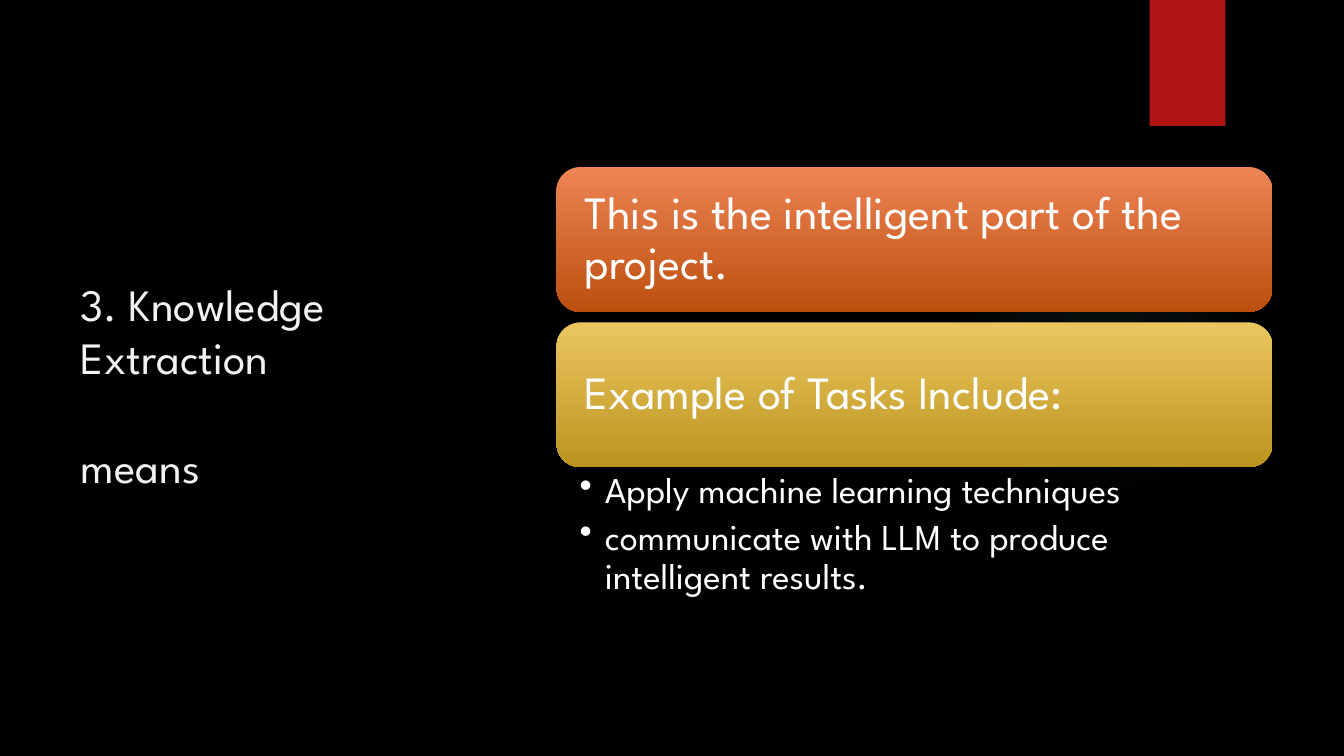
from dataclasses import dataclass

from lxml import etree
from pptx import Presentation
from pptx import util as u
from pptx.dml.color import RGBColor
from pptx.enum import shapes, text
from pptx.oxml import ns, parse_xml


@dataclass(frozen=True)
class Theme:
    font: str = "League Spartan"
    back: str = "000000"
    accent: str = "B01513"
    glow: str = "50B9C1"
    orange: tuple = ("EE8455", "BC4F0E")
    gold: tuple = ("EBC65F", "BB941F")
    title: str = "F2F2F2"
    body: str = "FFFFFF"
    title_pt: int = 32
    card_pt: int = 33
    bullet_pt: int = 26


THEME = Theme()
SHAPE = shapes.MSO_SHAPE


def px(n):
    return u.Emu(n * 9525)


def rgb(color):
    return RGBColor.from_string(color)


def add_shape(s, kind, box):
    sp = s.shapes.add_shape(kind, *map(px, box))
    sp.shadow.inherit = False
    sp.line.fill.background()
    return sp


def set_frame(sp, insets, anchor):
    tf = sp.text_frame
    tf.word_wrap = True
    tf.vertical_anchor = anchor
    tf.margin_left, tf.margin_top, tf.margin_right, tf.margin_bottom = map(px, insets)
    return tf


def add_run(p, words, size, color):
    p.alignment = text.PP_ALIGN.LEFT
    r = p.add_run()
    r.text = words
    r.font.name = THEME.font
    r.font.size = u.Pt(size)
    r.font.color.rgb = rgb(color)


def add_glow(s, box, stops):
    sp = add_shape(s, SHAPE.OVAL, box)
    gs = "".join(
        f'<a:gs pos="{pos * 1000}"><a:srgbClr val="{THEME.glow}">'
        f'<a:alpha val="{alpha * 1000}"/></a:srgbClr></a:gs>'
        for pos, alpha in stops
    )
    grad = parse_xml(
        f'<a:gradFill {ns.nsdecls("a")}><a:gsLst>{gs}</a:gsLst><a:path path="circle">'
        '<a:fillToRect l="50000" t="50000" r="50000" b="50000"/></a:path></a:gradFill>'
    )
    sp.element.spPr.find(ns.qn("a:prstGeom")).addnext(grad)


def add_tab(s, box):
    sp = add_shape(s, SHAPE.RECTANGLE, box)
    sp.fill.solid()
    sp.fill.fore_color.rgb = rgb(THEME.accent)


def add_title(s, box, lines):
    tf = set_frame(s.shapes.add_textbox(*map(px, box)), (10, 5, 10, 5),
                   text.MSO_ANCHOR.MIDDLE)
    for i, line in enumerate(lines):
        p = tf.add_paragraph() if i else tf.paragraphs[0]
        p.space_before = u.Pt(39 if i else 0)
        add_run(p, line, THEME.title_pt, THEME.title)


def add_card(s, box, words, colors):
    sp = add_shape(s, SHAPE.ROUNDED_RECTANGLE, box)
    sp.fill.gradient()
    sp.fill.gradient_angle = 270
    for stop, color in zip(sp.fill.gradient_stops, colors):
        stop.color.rgb = rgb(color)
    p = set_frame(sp, (20, 20, 20, 20), text.MSO_ANCHOR.MIDDLE).paragraphs[0]
    p.line_spacing = 0.9
    add_run(p, words, THEME.card_pt, THEME.body)


def add_bullets(s, box, items):
    tf = set_frame(s.shapes.add_textbox(*map(px, box)), (22, 5, 25, 5),
                   text.MSO_ANCHOR.TOP)
    for i, item in enumerate(items):
        p = tf.add_paragraph() if i else tf.paragraphs[0]
        p.line_spacing = 0.9
        p.space_after = u.Pt(5)
        pPr = p._p.get_or_add_pPr()
        pPr.set("marL", str(px(24)))
        pPr.set("indent", str(px(-24)))
        etree.SubElement(pPr, ns.qn("a:buChar")).set("char", "•")
        add_run(p, item, THEME.bullet_pt, THEME.body)


def main():
    prs = Presentation()
    prs.slide_width, prs.slide_height = px(1280), px(720)
    s = prs.slides.add_slide(prs.slide_layouts[6])
    s.background.fill.solid()
    s.background.fill.fore_color.rgb = rgb(THEME.back)

    add_glow(s, (903, 176, 296, 296), ((0, 7), (36, 6), (69, 0)))
    add_tab(s, (1095, 0, 72, 120))
    add_title(s, (67, 152, 326, 428), ("3. Knowledge Extraction", "means"))

    left, top, width, height, gap = 530, 159, 682, 138, 10
    cards = (
        ("This is the intelligent part of the project.", THEME.orange),
        ("Example of Tasks Include:", THEME.gold),
    )
    for i, (words, colors) in enumerate(cards):
        add_card(s, (left, top + i * (height + gap), width, height), words, colors)
    add_bullets(s, (left, top + 2 * height + gap, width, 180), (
        "Apply machine learning techniques",
        "communicate with LLM to produce intelligent results.",
    ))
    prs.save("out.pptx")


if __name__ == "__main__":
    main()
